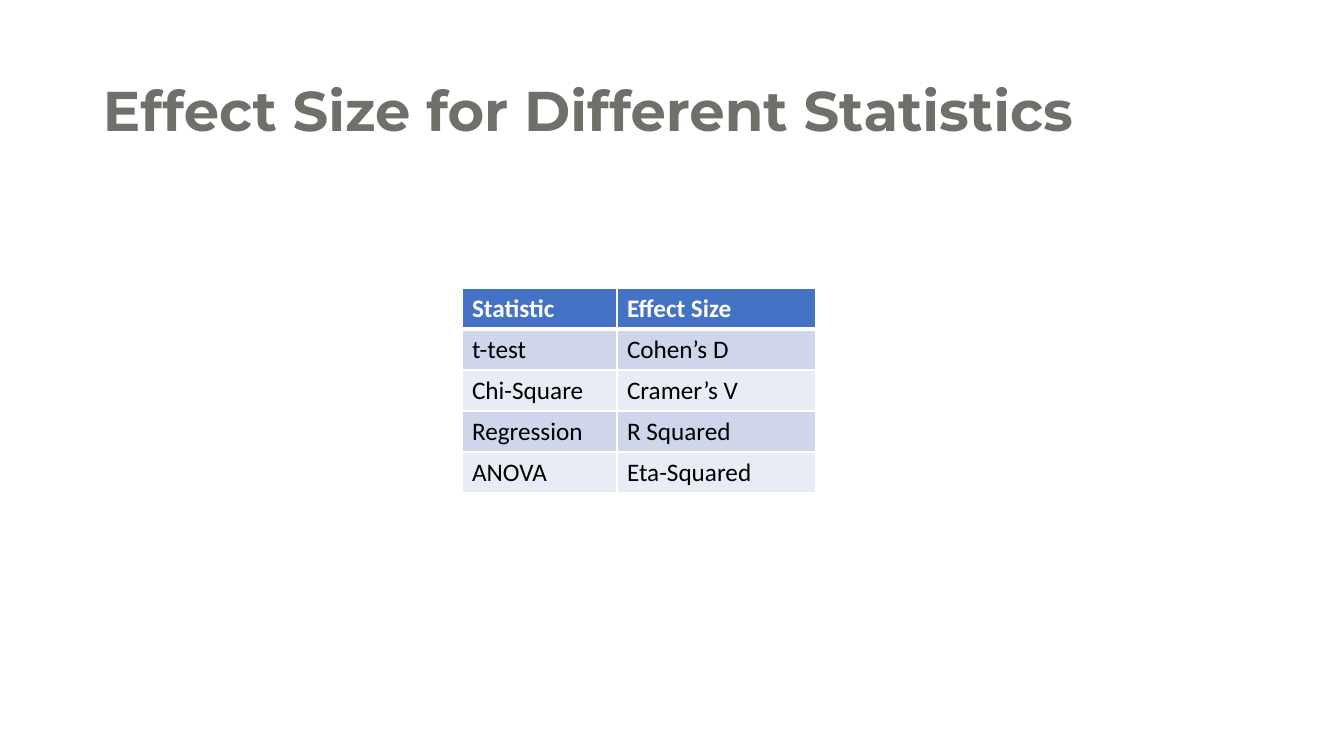
import pptx
import pptx.dml.color
import pptx.enum.text
import pptx.oxml.ns
import pptx.util
from lxml import etree

RGBColor = pptx.dml.color.RGBColor
WHITE = RGBColor(0xFF, 0xFF, 0xFF)
BLACK = RGBColor(0, 0, 0)
TITLE_GREY = RGBColor(0x6E, 0x70, 0x6A)
HEADER_BLUE = RGBColor(0x44, 0x72, 0xC4)
BANDS = (RGBColor(0xCF, 0xD5, 0xEA), RGBColor(0xE9, 0xEB, 0xF5))

EFFECT_SIZES = [
    ("Statistic", "Effect Size"),
    ("t-test", "Cohen’s D"),
    ("Chi-Square", "Cramer’s V"),
    ("Regression", "R Squared"),
    ("ANOVA", "Eta-Squared"),
]


def px(n):
    return pptx.util.Emu(round(n * 914400 / 100.8))


def add_run(p, text, font, size, color, bold):
    r = p.add_run()
    r.text = text
    r.font.name = font
    r.font.size = pptx.util.Pt(size)
    r.font.color.rgb = color
    r.font.bold = bold


def add_border(cell, side, width):
    qn = pptx.oxml.ns.qn
    ln = etree.SubElement(cell._tc.get_or_add_tcPr(), qn(f"a:ln{side}"),
                          w=str(pptx.util.Pt(width)))
    fill = etree.SubElement(ln, qn("a:solidFill"))
    etree.SubElement(fill, qn("a:srgbClr"), val=str(WHITE))


def add_title(s, x, y, w, h, text):
    tf = s.shapes.add_textbox(px(x), px(y), px(w), px(h)).text_frame
    tf.word_wrap = True
    tf.vertical_anchor = pptx.enum.text.MSO_ANCHOR.MIDDLE
    p = tf.paragraphs[0]
    p.line_spacing = 0.9
    add_run(p, text, "Montserrat", 40, TITLE_GREY, True)


def add_effect_table(s, x, y, col_widths, row_height, rows):
    table = s.shapes.add_table(len(rows), len(col_widths), px(x), px(y),
                               px(sum(col_widths)),
                               px(row_height * len(rows))).table
    for col, width in zip(table.columns, col_widths):
        col.width = px(width)
    for i, values in enumerate(rows):
        table.rows[i].height = px(row_height)
        header = i == 0
        for j, text in enumerate(values):
            cell = table.cell(i, j)
            widths = {"L": 1, "R": 1, "T": 3 if i == 1 else 1, "B": 3 if header else 1}
            for side, width in widths.items():
                add_border(cell, side, width)
            cell.fill.solid()
            cell.fill.fore_color.rgb = HEADER_BLUE if header else BANDS[(i - 1) % 2]
            add_run(cell.text_frame.paragraphs[0], text, "Calibri", 18,
                    WHITE if header else BLACK, header)


def main():
    prs = pptx.Presentation()
    prs.slide_width, prs.slide_height = px(1344), px(756)
    s = prs.slides.add_slide(prs.slide_layouts[6])
    add_title(s, 93, 40, 1159, 146, "Effect Size for Different Statistics")
    add_effect_table(s, 462, 288, (155, 199), 41, EFFECT_SIZES)
    prs.save("out.pptx")


if __name__ == "__main__":
    main()
